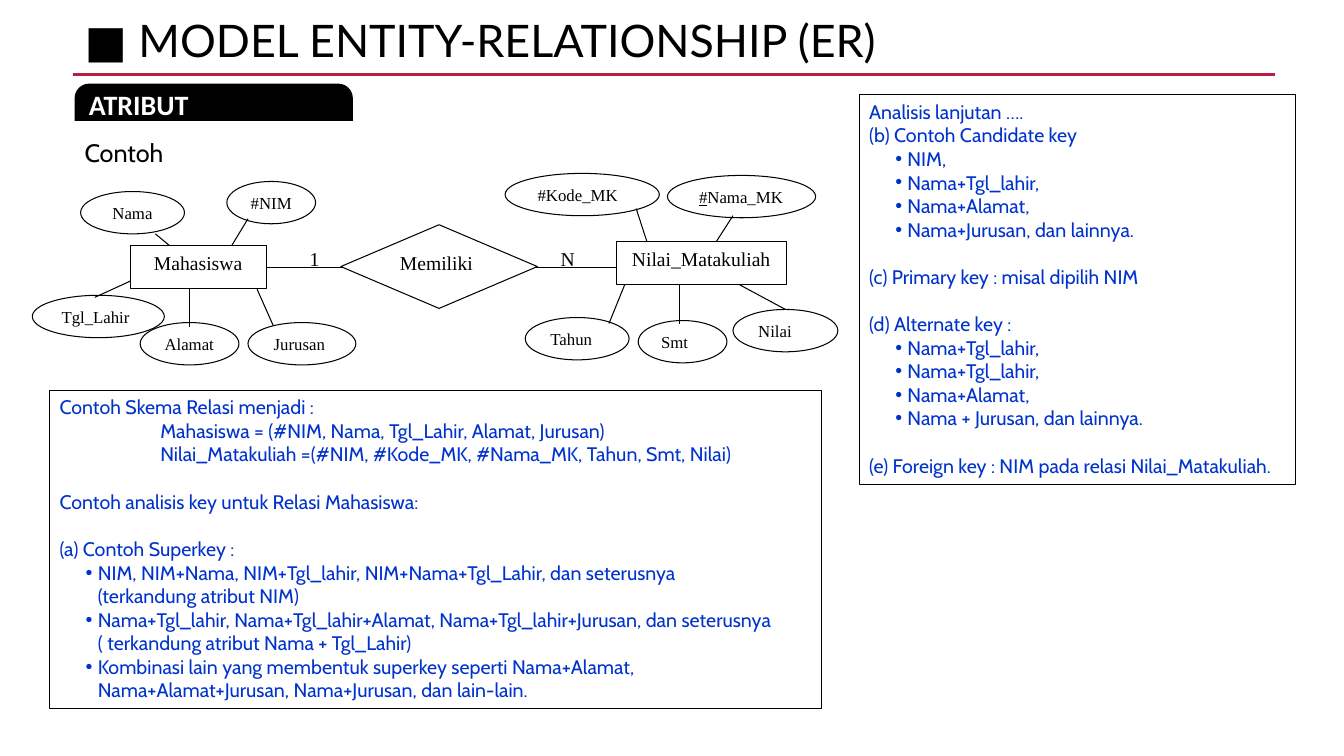
from dataclasses import dataclass

from lxml import etree
from pptx import Presentation
from pptx.dml.color import RGBColor
from pptx.enum.shapes import MSO_CONNECTOR, MSO_SHAPE
from pptx.enum.text import MSO_ANCHOR, MSO_AUTO_SIZE, PP_ALIGN
from pptx.oxml.ns import qn
from pptx.util import Inches, Pt

BLACK = RGBColor(0x00, 0x00, 0x00)
WHITE = RGBColor(0xFF, 0xFF, 0xFF)
BLUE = RGBColor(0x00, 0x33, 0xCC)
CRIMSON = RGBColor(0xB7, 0x1E, 0x42)

ELLIPSE, RECTANGLE, DIAMOND = MSO_SHAPE.OVAL, MSO_SHAPE.RECTANGLE, MSO_SHAPE.DIAMOND
TAB_SHAPE, STRAIGHT = MSO_SHAPE.ROUND_2_SAME_RECTANGLE, MSO_CONNECTOR.STRAIGHT
LEFT, CENTER = PP_ALIGN.LEFT, PP_ALIGN.CENTER
TOP, MIDDLE = MSO_ANCHOR.TOP, MSO_ANCHOR.MIDDLE
RIGHT_SIDE = 3

TITLE_FONT = {"name": "Lato", "size": Pt(32)}
TAB_FONT = {"name": "Calibri", "size": Pt(20), "bold": True}
HEADING_FONT = {"name": "Cabin", "size": Pt(18)}
PANEL_FONT = {"name": "Cabin", "size": Pt(14)}
ATTRIBUTE_FONT = {"name": "Times New Roman", "size": Pt(12)}
ENTITY_FONT = {"name": "Times New Roman", "size": Pt(14)}
FRAME = {"word_wrap": True, "auto_size": MSO_AUTO_SIZE.NONE}
SECTION_GAP = Pt(17)


@dataclass
class Box:
    left: float
    top: float
    width: float
    height: float

    def lengths(self) -> list:
        return [Inches(v) for v in (self.left, self.top, self.width, self.height)]


@dataclass
class Node:
    label: str
    box: Box
    align: PP_ALIGN = LEFT
    underlined: str = ""


@dataclass
class Link:
    x1: float
    y1: float
    x2: float
    y2: float


@dataclass
class Line:
    text: str
    bullet: bool = False
    indent: float = 0
    new_section: bool = False


def apply(target, values: dict) -> None:
    for name, value in values.items():
        setattr(target, name, value)


def add_run(paragraph, text: str, font: dict, color: RGBColor, underline: bool = False) -> None:
    run = paragraph.add_run()
    run.text = text
    apply(run.font, font)
    run.font.color.rgb = color
    if underline:
        run.font.underline = True


def write(shape, text: str, font: dict, color: RGBColor = BLACK, align: PP_ALIGN = LEFT,
          anchor: MSO_ANCHOR = TOP, underlined: str = ""):
    frame = shape.text_frame
    apply(frame, {**FRAME, "vertical_anchor": anchor})
    paragraph = frame.paragraphs[0]
    paragraph.alignment = align
    if underlined:
        add_run(paragraph, underlined, font, color, underline=True)
    add_run(paragraph, text, font, color)
    return paragraph


def place(shape, box: Box) -> None:
    apply(shape, dict(zip(("left", "top", "width", "height"), box.lengths())))


def add_node(slide, kind: MSO_SHAPE, node: Node, font: dict):
    shape = slide.shapes.add_shape(kind, *node.box.lengths())
    shape.shadow.inherit = False
    shape.fill.solid()
    shape.fill.fore_color.rgb = WHITE
    shape.line.color.rgb = BLACK
    shape.line.width = Pt(0.75)
    write(shape, node.label, font, align=node.align, underlined=node.underlined)
    return shape


def add_link(slide, link: Link, color: RGBColor = BLACK, width: float = 0.75):
    ends = [Inches(v) for v in (link.x1, link.y1, link.x2, link.y2)]
    connector = slide.shapes.add_connector(STRAIGHT, *ends)
    connector.line.color.rgb = color
    connector.line.width = Pt(width)
    etree.SubElement(connector._element.spPr, qn("a:effectLst"))
    return connector


def add_text(slide, text: str, box: Box, font: dict, align: PP_ALIGN = LEFT) -> None:
    write(slide.shapes.add_textbox(*box.lengths()), text, font, align=align)


def fill_panel(panel, box: Box, lines: list[Line]) -> None:
    place(panel, box)
    panel.line.color.rgb = BLACK
    panel.line.width = Pt(0.75)
    frame = panel.text_frame
    apply(frame, {**FRAME, "vertical_anchor": TOP})
    for i, line in enumerate(lines):
        paragraph = frame.paragraphs[0] if i == 0 else frame.add_paragraph()
        apply(paragraph, {"alignment": LEFT, "space_after": Pt(0),
                          "space_before": SECTION_GAP if line.new_section else Pt(0)})
        properties = paragraph._p.get_or_add_pPr()
        properties.set("marL", str(Inches(0.38 if line.bullet else line.indent)))
        properties.set("indent", str(Inches(-0.12 if line.bullet else 0)))
        if line.bullet:
            etree.SubElement(properties, qn("a:buChar")).set("char", "•")
        else:
            etree.SubElement(properties, qn("a:buNone"))
        for j, part in enumerate(line.text.split("\n")):
            if j:
                paragraph.add_line_break()
            add_run(paragraph, part, PANEL_FONT, BLUE)


ATTRIBUTES = [
    Node("Nama", Box(0.8, 1.9, 1.03, 0.42), CENTER),
    Node("#NIM", Box(2.25, 1.8, 0.88, 0.42), CENTER),
    Node("Tgl_Lahir", Box(0.32, 2.93, 1.31, 0.42)),
    Node("Jurusan", Box(2.46, 3.2, 1.07, 0.42)),
    Node("Alamat", Box(1.39, 3.2, 0.98, 0.42)),
    Node("Tahun", Box(5.21, 3.15, 1.03, 0.42)),
    Node("Smt", Box(6.33, 3.18, 0.88, 0.42)),
    Node("Nilai", Box(7.27, 3.07, 1.04, 0.42)),
    Node("#Kode_MK", Box(5.01, 1.72, 1.53, 0.42)),
    Node("Nama_MK", Box(6.62, 1.74, 1.47, 0.42), underlined="#"),
]
ATTRIBUTE_LINKS = [
    Link(1.54, 2.32, 1.71, 2.46), Link(2.46, 2.17, 2.29, 2.45), Link(0.94, 2.95, 1.29, 2.79),
    Link(1.88, 2.87, 1.88, 3.24), Link(2.55, 2.87, 2.71, 3.23), Link(6.31, 2.07, 6.43, 2.44),
    Link(7.27, 2.14, 7.09, 2.42), Link(7.27, 2.79, 7.79, 3.07), Link(6.74, 2.79, 6.74, 3.21),
    Link(6.21, 2.79, 6.04, 3.21),
]
STUDENT = Node("Mahasiswa", Box(1.29, 2.44, 1.35, 0.42), CENTER)
GRADE = Node("Nilai_Matakuliah", Box(6.11, 2.4, 1.69, 0.42), CENTER)
HAS = Node("Memiliki", Box(3.38, 2.23, 1.95, 0.83))

SCHEMA_LINES = [
    Line("Contoh Skema Relasi menjadi :"),
    Line("Mahasiswa = (#NIM, Nama, Tgl_Lahir, Alamat, Jurusan)", indent=1),
    Line("Nilai_Matakuliah =(#NIM, #Kode_MK, #Nama_MK, Tahun, Smt, Nilai)", indent=1),
    Line("Contoh analisis key untuk Relasi Mahasiswa:", new_section=True),
    Line("(a) Contoh Superkey :", new_section=True),
    Line("NIM, NIM+Nama, NIM+Tgl_lahir, NIM+Nama+Tgl_Lahir, dan seterusnya\n"
         "(terkandung atribut NIM)", bullet=True),
    Line("Nama+Tgl_lahir, Nama+Tgl_lahir+Alamat, Nama+Tgl_lahir+Jurusan, dan seterusnya\n"
         "( terkandung atribut Nama + Tgl_Lahir)", bullet=True),
    Line("Kombinasi lain yang membentuk superkey seperti Nama+Alamat, "
         "Nama+Alamat+Jurusan, Nama+Jurusan, dan lain-lain.", bullet=True),
]
CANDIDATE_KEYS = ["NIM,", "Nama+Tgl_lahir,", "Nama+Alamat,", "Nama+Jurusan, dan lainnya."]
ALTERNATE_KEYS = ["Nama+Tgl_lahir,", "Nama+Tgl_lahir,", "Nama+Alamat,",
                  "Nama + Jurusan, dan lainnya."]
KEY_LINES = [
    Line("Analisis lanjutan …."),
    Line("(b) Contoh Candidate key"),
    *[Line(key, bullet=True) for key in CANDIDATE_KEYS],
    Line("(c) Primary key : misal dipilih NIM", new_section=True),
    Line("(d) Alternate key :", new_section=True),
    *[Line(key, bullet=True) for key in ALTERNATE_KEYS],
    Line("(e) Foreign key : NIM pada relasi Nilai_Matakuliah.", new_section=True),
]


def main() -> None:
    deck = Presentation()
    deck.slide_width, deck.slide_height = Inches(13.33), Inches(7.5)
    slide = deck.slides.add_slide(deck.slide_layouts[3])
    title, schema, keys = slide.placeholders

    # Title, rule and section tab
    place(title, Box(0.74, 0.14, 12.3, 0.54))
    write(title, "■ MODEL ENTITY-RELATIONSHIP (ER)", TITLE_FONT).line_spacing = 0.9
    add_link(slide, Link(0.72, 0.74, 12.65, 0.74), CRIMSON, 2.5)
    tab = slide.shapes.add_shape(TAB_SHAPE, *Box(0.74, 0.83, 2.76, 0.37).lengths())
    tab.shadow.inherit = False
    tab.adjustments[0] = 0.39
    tab.fill.solid()
    tab.fill.fore_color.rgb = BLACK
    tab.line.fill.background()
    write(tab, "ATRIBUT", TAB_FONT, WHITE, anchor=MIDDLE)
    add_text(slide, "Contoh", Box(0.74, 1.31, 3.73, 0.4), HEADING_FONT)

    # Entity-relationship diagram
    for attribute in ATTRIBUTES:
        add_node(slide, ELLIPSE, attribute, ATTRIBUTE_FONT)
    for link in ATTRIBUTE_LINKS:
        add_link(slide, link)
    student = add_node(slide, RECTANGLE, STUDENT, ENTITY_FONT)
    add_node(slide, RECTANGLE, GRADE, ENTITY_FONT)
    relation = add_link(slide, Link(2.64, 2.65, 6.11, 2.65))
    relation.begin_connect(student, RIGHT_SIDE)
    add_node(slide, DIAMOND, HAS, ENTITY_FONT)
    for cardinality, left in (("1", 2.83), ("N", 5.34)):
        add_text(slide, cardinality, Box(left, 2.4, 0.58, 0.42), ENTITY_FONT, CENTER)

    # Key analysis panels
    fill_panel(schema, Box(0.49, 3.87, 7.66, 3.16), SCHEMA_LINES)
    fill_panel(keys, Box(8.52, 0.94, 4.33, 3.87), KEY_LINES)
    deck.save("out.pptx")


if __name__ == "__main__":
    main()
